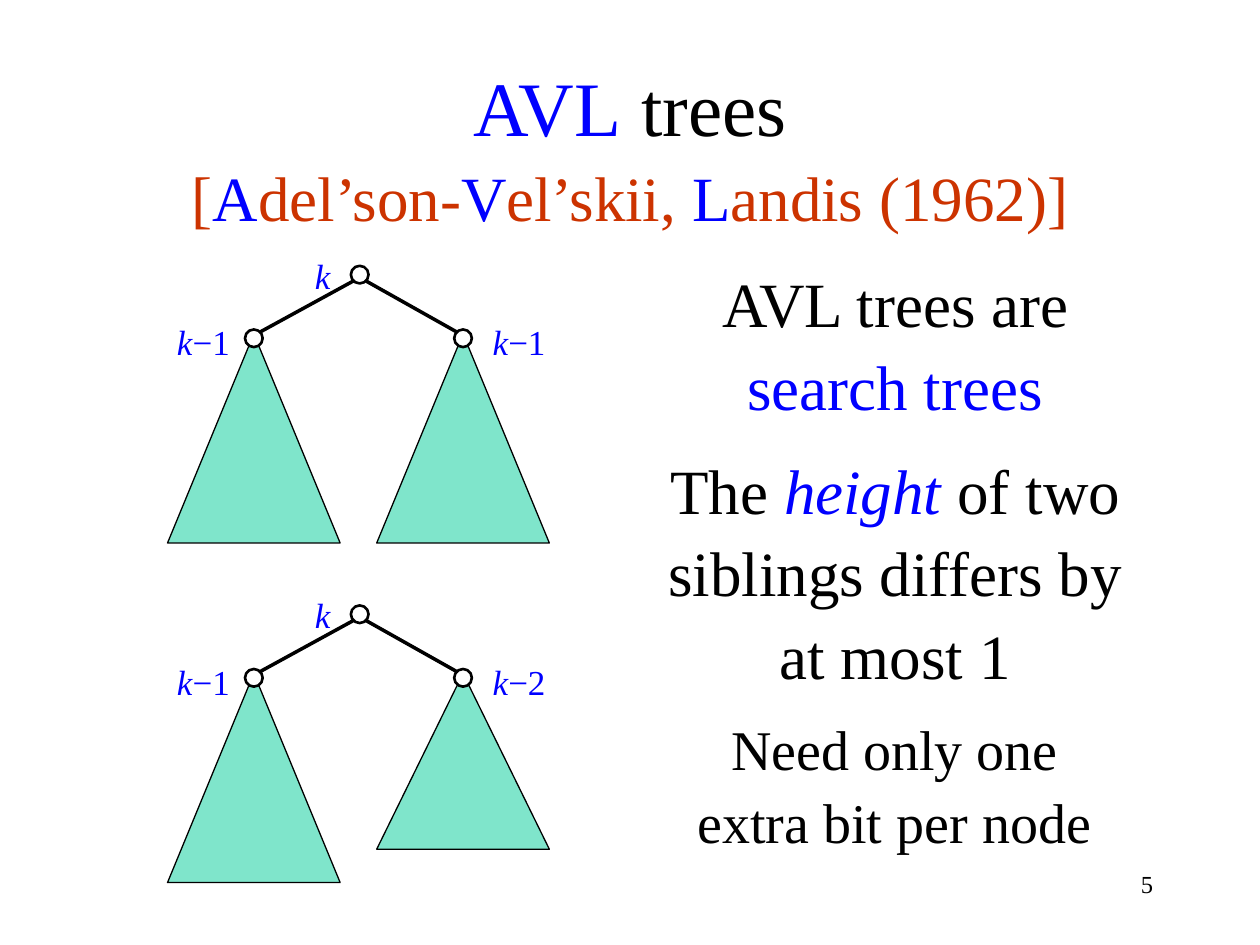
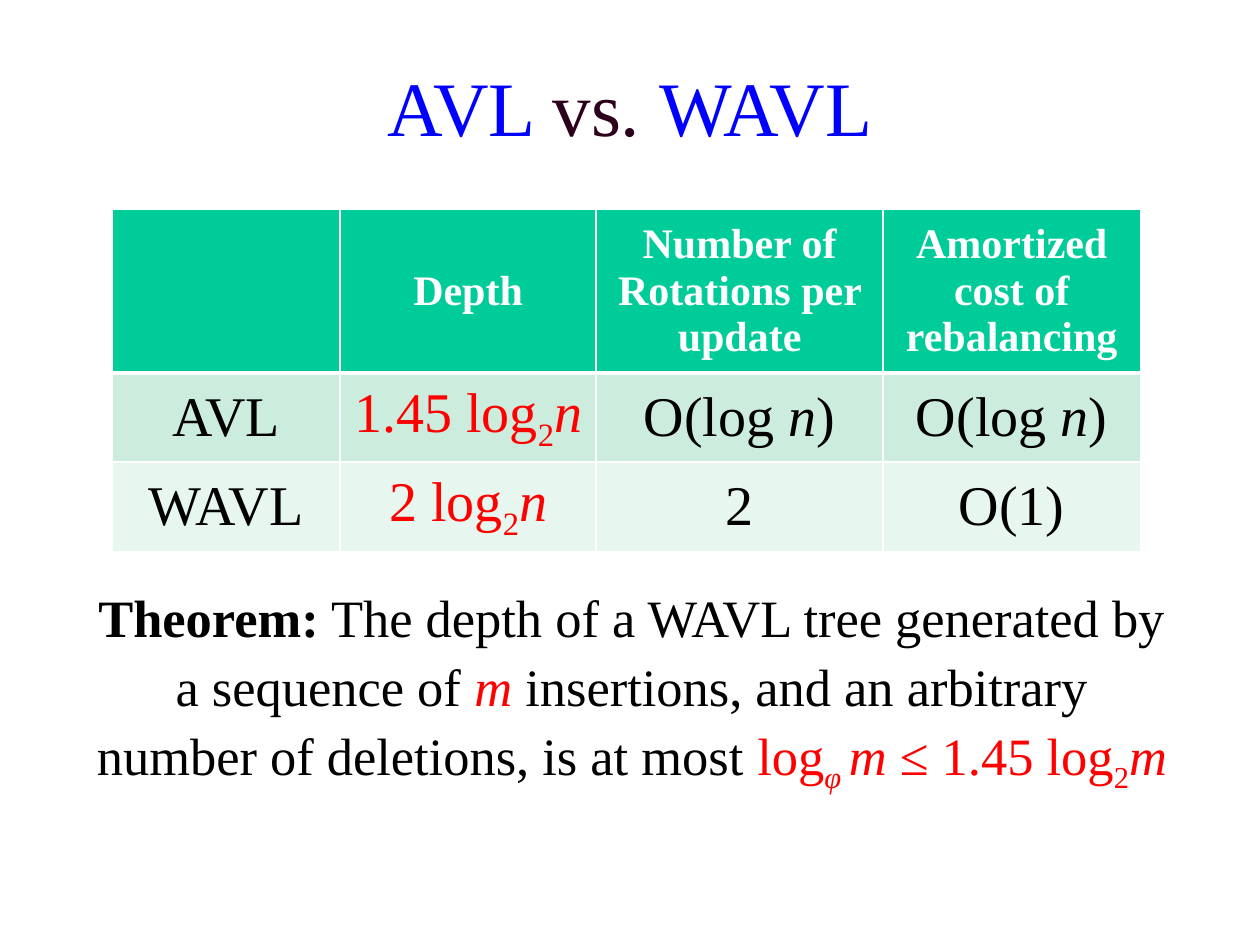
from dataclasses import dataclass
from typing import NamedTuple

from lxml import etree
from pptx import Presentation, util as u
from pptx.dml.color import RGBColor
from pptx.enum import shapes, text
from pptx.oxml import ns

COLS, ROWS = 100, 75
WIDTH, HEIGHT = u.Inches(10), u.Inches(7.5)
FONT = "Times New Roman"
BLACK, WHITE, BLUE, RED = "000000", "FFFFFF", "0000FF", "FF0000"
RUST, PLUM, GREEN = "CC3300", "2C001D", "00CC99"
BODY_FILLS = ("CCECDE", "E7F6EF")
CENTER = text.PP_ALIGN.CENTER


class Run(NamedTuple):
    text: str
    color: str | None = None
    size: float | None = None
    bold: bool = False
    italic: bool = False
    sub: bool = False


class Box(NamedTuple):
    x: float
    y: float
    w: float
    h: float


class Note(NamedTuple):
    box: Box
    size: float
    runs: list[Run]


@dataclass
class Subtree:
    dx: float
    label_dx: float
    label_w: float
    drop: int
    height: float


@dataclass
class Tree:
    x: float
    y: float
    children: tuple[Subtree, Subtree]


BREAK = Run("\n")


def color(value: str) -> RGBColor:
    return RGBColor.from_string(value)


def col(n: float) -> int:
    return round(WIDTH * n / COLS)


def row(n: float) -> int:
    return round(HEIGHT * n / ROWS)


def place(box: Box) -> tuple[int, int, int, int]:
    return col(box.x), row(box.y), col(box.w), row(box.h)


def write(p, runs: list[Run], size: float, ink: str = BLACK,
          bold: bool = False, align=CENTER) -> None:
    p.alignment = align
    p.font.name = FONT
    p.font.size = u.Pt(size)
    p.font.bold = bold
    p.font.color.rgb = color(ink)
    for run in runs:
        if run == BREAK:
            p.add_line_break()
            continue
        r = p.add_run()
        r.text = run.text
        if run.color:
            r.font.color.rgb = color(run.color)
        if run.size:
            r.font.size = u.Pt(run.size)
        if run.bold:
            r.font.bold = True
        if run.italic:
            r.font.italic = True
        if run.sub:
            r.font._element.set("baseline", "-25000")


def add_text(parent, note: Note, ink: str = BLACK, align=CENTER) -> None:
    tf = parent.add_textbox(*place(note.box)).text_frame
    tf.word_wrap = True
    p = tf.paragraphs[0]
    p.line_spacing = 1.09
    write(p, note.runs, note.size, ink, align=align)


def add_title(s, runs: list[Run], height: float) -> None:
    add_text(s.shapes, Note(Box(0, 3.6, COLS, height), 44, runs))


def add_outlined(parent, kind, box: Box, fill: str, weight: float,
                 alpha: int = 100) -> None:
    sp = parent.add_shape(kind, *place(box))
    sp.shadow.inherit = False
    sp.fill.solid()
    sp.fill.fore_color.rgb = color(fill)
    sp.line.color.rgb = color(BLACK)
    sp.line.width = u.Pt(weight)
    if alpha < 100:
        clr = sp._element.spPr.find(ns.qn("a:solidFill"))[0]
        etree.SubElement(clr, ns.qn("a:alpha"), val=str(alpha * 1000))


def add_node(parent, x: float, y: float) -> None:
    add_outlined(parent, shapes.MSO_SHAPE.OVAL,
                 Box(x - 0.7, y - 0.7, 1.4, 1.4), WHITE, 1.5)


def add_edge(parent, x1: float, y1: float, x2: float, y2: float) -> None:
    line = parent.add_connector(shapes.MSO_CONNECTOR.STRAIGHT,
                                col(x1), row(y1), col(x2), row(y2))
    line.line.color.rgb = color(BLACK)
    line.line.width = u.Pt(2)
    etree.SubElement(line._element.spPr, ns.qn("a:effectLst"))


def add_label(parent, x: float, y: float, w: float, drop: int = 0) -> None:
    runs = [Run("k", italic=True)]
    if drop:
        runs.append(Run(f"−{drop}"))
    add_text(parent, Note(Box(x, y, w, 4.4), 20, runs), BLUE)


def add_tree(s, tree: Tree) -> None:
    group = s.shapes.add_group_shape().shapes
    x, y, child_y = tree.x, tree.y, tree.y + 5.05
    add_node(group, x, y)
    add_label(group, x - 5.4, y - 2.4, 4.9)
    for sub in tree.children:
        child_x = x + sub.dx
        inset = 0.5 if sub.dx > 0 else -0.5
        add_outlined(group, shapes.MSO_SHAPE.ISOSCELES_TRIANGLE,
                     Box(child_x - 6.85, child_y - 0.35, 13.7, sub.height),
                     GREEN, 0.75, alpha=50)
        add_edge(group, x + inset, y + 0.5, child_x - inset, child_y - 0.5)
        add_node(group, child_x, child_y)
        add_label(group, child_x + sub.label_dx, child_y - 2.2,
                  sub.label_w, sub.drop)


def set_borders(cell, top: float, bottom: float) -> None:
    tc_pr = cell._tc.get_or_add_tcPr()
    for side, weight in zip("LRTB", (1, 1, top, bottom)):
        ln = etree.SubElement(tc_pr, ns.qn(f"a:ln{side}"),
                              w=str(u.Pt(weight)))
        fill = etree.SubElement(ln, ns.qn("a:solidFill"))
        etree.SubElement(fill, ns.qn("a:srgbClr"), val=WHITE)


def add_comparison(s, box: Box, widths: list[float], heights: list[float],
                   rows: list[list[list[Run]]]) -> None:
    table = s.shapes.add_table(len(rows), len(widths), *place(box)).table
    for column, width in zip(table.columns, widths):
        column.width = col(width)
    for i, (height, cells) in enumerate(zip(heights, rows)):
        table.rows[i].height = row(height)
        head = i == 0
        for j, runs in enumerate(cells):
            cell = table.cell(i, j)
            set_borders(cell, 3 if i == 1 else 1, 3 if head else 1)
            cell.fill.solid()
            cell.fill.fore_color.rgb = color(GREEN if head
                                             else BODY_FILLS[i - 1])
            cell.vertical_anchor = text.MSO_ANCHOR.MIDDLE
            write(cell.text_frame.paragraphs[0], runs, 24 if head else 32,
                  WHITE if head else BLACK, bold=head)


def log_depth(factor: str, variable: str) -> list[Run]:
    return [Run(f"{factor} log", RED), Run("2", RED, sub=True),
            Run(variable, RED, italic=True)]


def build_avl_trees(s) -> None:
    add_text(s.shapes, Note(Box(71.7, 68.3, 20.8, 5), 14, [Run("5")]),
             align=text.PP_ALIGN.RIGHT)
    add_title(s, [
        Run("AVL", BLUE), Run(" trees"), BREAK,
        Run("[", RUST, 36), Run("A", BLUE, 36), Run("del’son-", RUST, 36),
        Run("V", BLUE, 36), Run("el’skii, ", RUST, 36),
        Run("L", BLUE, 36), Run("andis (1962)]", RUST, 36)], 14.5)
    for note in (
        Note(Box(51.1, 20, 39.9, 13.1), 36,
             [Run("AVL trees are "), Run("search trees", BLUE)]),
        Note(Box(51.1, 34.8, 39.9, 19.2), 36,
             [Run("The "), Run("height", BLUE, italic=True),
              Run(" of two siblings differs by at most 1")]),
        Note(Box(53.6, 55.7, 34.8, 11.8), 32,
             [Run("Need only one extra bit per node")]),
    ):
        add_text(s.shapes, note)
    left = Subtree(-8.4, -7.2, 6.4, 1, 16.6)
    for y, drop, height in ((21.8, 1, 16.6), (48.75, 2, 13.95)):
        right = Subtree(8.2, 0.9, 7.1, drop, height)
        add_tree(s, Tree(28.55, y, (left, right)))


def build_avl_vs_wavl(s) -> None:
    add_title(s, [Run("AVL ", BLUE), Run("vs. ", PLUM), Run("WAVL", BLUE)],
              8.4)
    log_n = [Run("O(log "), Run("n", italic=True), Run(")")]
    add_comparison(s, Box(8.9, 16.6, 81.7, 27.1), [18.1, 20.3, 22.8, 20.4],
                   [13, 7.05, 7.05], [
        [[], [Run("Depth")], [Run("Number of Rotations per update")],
         [Run("Amortized cost of rebalancing")]],
        [[Run("AVL")], log_depth("1.45", "n"), log_n, log_n],
        [[Run("WAVL")], log_depth("2", "n"), [Run("2")], [Run("O(1)")]],
    ])
    add_text(s.shapes, Note(Box(6.1, 45.5, 88.1, 16.2), 30, [
        Run("Theorem:", bold=True),
        Run(" The depth of a WAVL tree generated by a sequence of "),
        Run("m", RED, italic=True),
        Run(" insertions, and an arbitrary number of deletions, "
            "is at most "),
        Run("log", RED), Run("φ ", RED, italic=True, sub=True),
        Run("m ", RED, italic=True), *log_depth("≤ 1.45", "m")]))


def main() -> None:
    prs = Presentation()
    prs.slide_width, prs.slide_height = WIDTH, HEIGHT
    for build in (build_avl_trees, build_avl_vs_wavl):
        build(prs.slides.add_slide(prs.slide_layouts[6]))
    prs.save("out.pptx")


if __name__ == "__main__":
    main()
